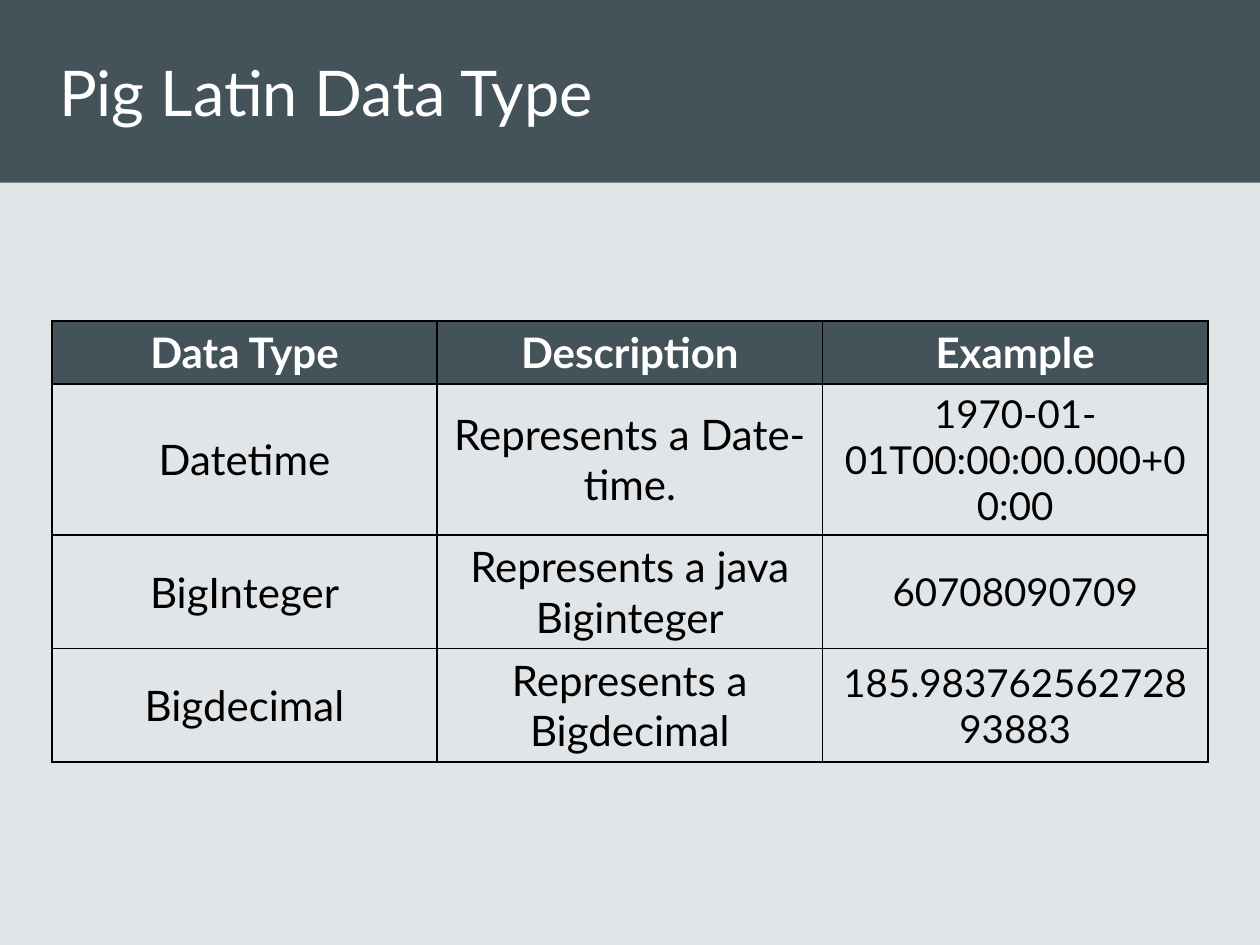
from lxml import etree
from pptx import Presentation
from pptx.dml.color import RGBColor
from pptx.enum.shapes import MSO_SHAPE
from pptx.enum.text import MSO_ANCHOR, MSO_AUTO_SIZE, PP_ALIGN
from pptx.oxml.ns import qn
from pptx.util import Pt

RECT = MSO_SHAPE.RECTANGLE
MIDDLE = MSO_ANCHOR.MIDDLE
NO_FIT = MSO_AUTO_SIZE.NONE
LEFT, CENTER = PP_ALIGN.LEFT, PP_ALIGN.CENTER

SLATE = RGBColor(0x44, 0x52, 0x5A)
PALE = RGBColor(0xE2, 0xE5, 0xE8)
WHITE = RGBColor(0xFF, 0xFF, 0xFF)
BLACK = RGBColor(0, 0, 0)
FONT = "Lato"

HEIGHTS = (36, 86.4, 64.8, 64.8)
ROWS = (
    ("Data Type", "Description", "Example"),
    ("Datetime", "Represents a Date-time.", "1970-01-01T00:00:00.000+00:00"),
    ("BigInteger", "Represents a java Biginteger", "60708090709"),
    ("Bigdecimal", "Represents a Bigdecimal", "185.98376256272893883"),
)


def style(para, size, color, align, bold=False):
    """Set the alignment of a paragraph and the font of its runs."""
    para.alignment = align
    for run in para.runs:
        font = run.font
        font.name, font.size, font.bold = FONT, Pt(size), bold
        font.color.rgb = color


def add_header(slide, left, top, width, height):
    """Draw the full-width band and set the title on it."""
    band = slide.shapes.add_shape(RECT, 0, Pt(top), Pt(720), Pt(height))
    band.shadow.inherit = False
    band.fill.solid()
    band.fill.fore_color.rgb = SLATE
    band.line.fill.background()
    title = slide.shapes.title
    title.left, title.top = Pt(left), Pt(top)
    title.width, title.height = Pt(width), Pt(height)
    frame = title.text_frame
    frame.text = "Pig Latin Data Type"
    frame.word_wrap = True
    frame.auto_size = NO_FIT
    frame.vertical_anchor = MIDDLE
    style(frame.paragraphs[0], 36, WHITE, LEFT)
    slide.shapes.element.append(title.element)


def add_border(cell):
    """Give a cell a thin black line on each side."""
    props = cell._tc.get_or_add_tcPr()
    for side in ("lnL", "lnR", "lnT", "lnB"):
        line = etree.SubElement(props, qn(f"a:{side}"), w=str(Pt(1)))
        fill = etree.SubElement(line, qn("a:solidFill"))
        etree.SubElement(fill, qn("a:srgbClr"), val=str(BLACK))


def fill_cell(cell, text, head, size):
    """Write and format one cell of the table."""
    add_border(cell)
    if head:
        cell.fill.solid()
        cell.fill.fore_color.rgb = SLATE
    else:
        cell.fill.background()
    cell.vertical_anchor = MIDDLE
    cell.text_frame.text = text
    style(cell.text_frame.paragraphs[0], size, WHITE if head else BLACK, CENTER, head)


def add_types(slide, left, top, width, height):
    """Build the table of data types with equal columns."""
    count = len(ROWS[0])
    frame = slide.shapes.add_table(
        len(ROWS), count, Pt(left), Pt(top), Pt(width), Pt(height))
    table = frame.table
    table.horz_banding = False
    for col in table.columns:
        col.width = Pt(width / count)
    for i, (texts, tall) in enumerate(zip(ROWS, HEIGHTS)):
        table.rows[i].height = Pt(tall)
        for j, text in enumerate(texts):
            size = 22 if i and j == count - 1 else 24
            fill_cell(table.cell(i, j), text, i == 0, size)


def main():
    """Build and save the slide."""
    deck = Presentation()
    deck.slide_width, deck.slide_height = Pt(720), Pt(540)
    slide = deck.slides.add_slide(deck.slide_layouts[5])
    slide.background.fill.solid()
    slide.background.fill.fore_color.rgb = PALE
    add_header(slide, 26.6, 0, 660, 104.4)
    add_types(slide, 29.6, 183.4, 660.6, sum(HEIGHTS))
    deck.save("out.pptx")


if __name__ == "__main__":
    main()
